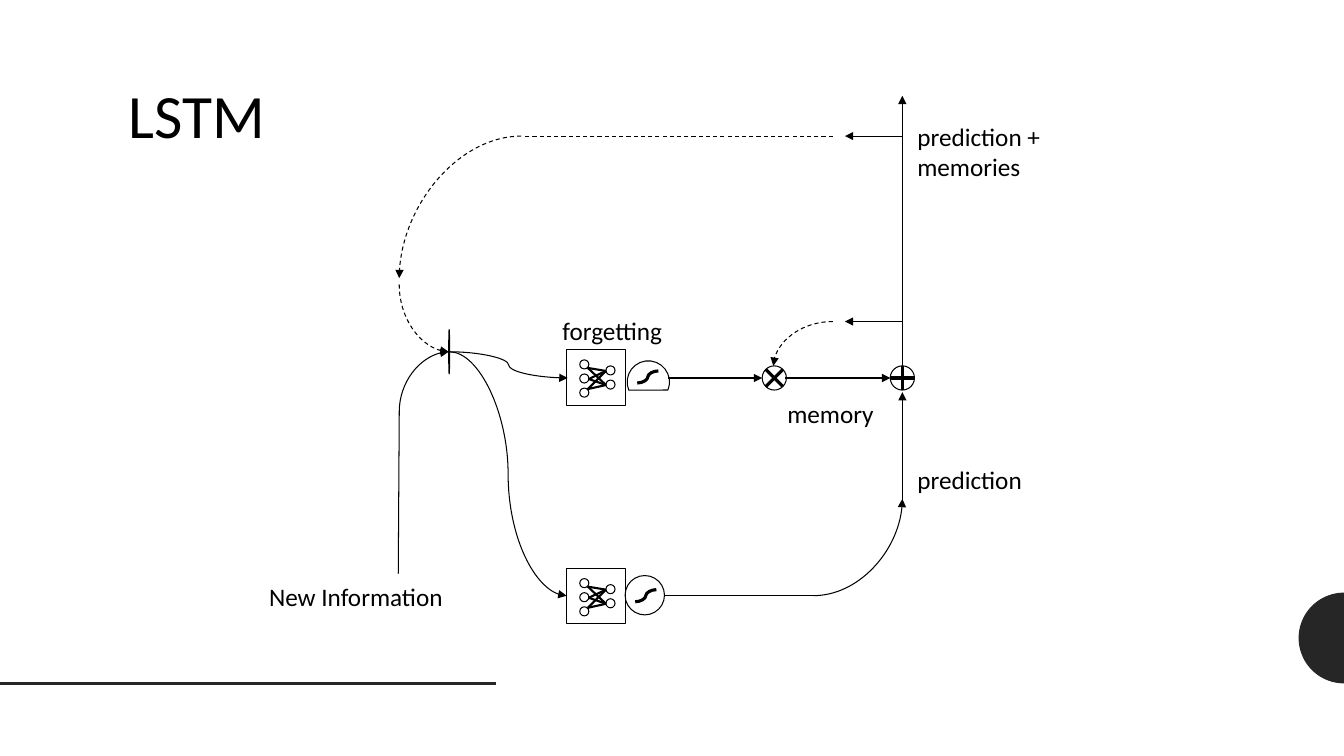
import math

from lxml import etree
from pptx import Presentation
from pptx.dml.color import RGBColor
from pptx.enum.dml import MSO_LINE
from pptx.enum.shapes import MSO_CONNECTOR, MSO_SHAPE
from pptx.enum.text import MSO_ANCHOR, PP_ALIGN
from pptx.oxml.ns import qn
from pptx.util import Inches, Pt

STRAIGHT, CURVE = MSO_CONNECTOR.STRAIGHT, MSO_CONNECTOR.CURVE
OVAL, RECTANGLE, CHORD = MSO_SHAPE.OVAL, MSO_SHAPE.RECTANGLE, MSO_SHAPE.CHORD
DASH = MSO_LINE.DASH
TOP, LEFT = MSO_ANCHOR.TOP, PP_ALIGN.LEFT
FONT = "Calibri"
COLORS = {"ink": "000000", "paper": "FFFFFF", "accent": "262626"}


def color(name):
    return RGBColor.from_string(COLORS[name])


def add_text(slide, text, left, top, width, height=0.44, size=18):
    box = slide.shapes.add_textbox(*map(Inches, (left, top, width, height)))
    frame = box.text_frame
    frame.word_wrap = True
    frame.vertical_anchor = TOP
    frame.margin_left = frame.margin_right = Inches(0.1)
    frame.margin_top = frame.margin_bottom = Inches(0.1)
    paragraph = frame.paragraphs[0]
    paragraph.alignment = LEFT
    run = paragraph.add_run()
    run.text = text
    run.font.name = FONT
    run.font.size = Pt(size)
    run.font.color.rgb = color("ink")


def add_outline(shapes, kind, left, top, width, height, fill=None):
    shape = shapes.add_shape(kind, *map(Inches, (left, top, width, height)))
    shape.shadow.inherit = False
    if fill:
        shape.fill.solid()
        shape.fill.fore_color.rgb = color(fill)
    else:
        shape.fill.background()
    shape.line.color.rgb = color("ink")
    shape.line.width = Pt(0.75)
    return shape


def add_line(shapes, start, end, kind=STRAIGHT, width=0.75, stroke="ink",
             dashed=False, arrow=None, quarter=False):
    connector = shapes.add_connector(kind, *map(Inches, (*start, *end)))
    connector.line.color.rgb = color(stroke)
    connector.line.width = Pt(width)
    if dashed:
        connector.line.dash_style = DASH
    properties = connector._element.spPr
    if quarter:
        properties.find(qn("a:prstGeom")).set("prst", "curvedConnector2")
    if arrow:
        outline = properties.find(qn("a:ln"))
        etree.SubElement(outline, qn(f"a:{arrow}End"), type="triangle")
    etree.SubElement(properties, qn("a:effectLst"))


def add_decoration(slide, width):
    radius, center = 0.45, 6.33
    points = []
    for step in range(49):
        angle = math.pi * (0.5 + step / 48)
        points.append((Inches(width + radius * math.cos(angle)),
                       Inches(center + radius * math.sin(angle))))
    builder = slide.shapes.build_freeform(*points[0])
    builder.add_line_segments(points[1:], close=True)
    half_disc = builder.convert_to_shape()
    half_disc.shadow.inherit = False
    half_disc.fill.solid()
    half_disc.fill.fore_color.rgb = color("accent")
    half_disc.line.fill.background()
    add_line(slide.shapes, (0, 6.78), (4.92, 6.78), width=2, stroke="accent")


def add_network(slide, left, top):
    shapes = slide.shapes.add_group_shape().shapes
    node, gap = 0.09, 0.14
    for column, first, count in ((0.13, 0.1, 3), (0.39, 0.16, 2)):
        for row in range(count):
            add_outline(shapes, OVAL, left + column, top + first + row * gap,
                        node, node, "paper")
    for x, y in ((0.21, 0.18), (0.21, 0.39), (0.22, 0.29)):
        for target in (0.21, 0.35):
            add_line(shapes, (left + x, top + y), (left + 0.39, top + target),
                     width=1.5)
    add_outline(shapes, RECTANGLE, left, top, 0.58, 0.55)


def add_squash(slide, kind, left, top, size, curve_offset, rotation=0):
    shapes = slide.shapes.add_group_shape().shapes
    add_outline(shapes, kind, left, top, size, size).rotation = rotation
    x, y = left + 0.1, top + curve_offset
    add_line(shapes, (x, y + 0.12), (x + 0.21, y), CURVE, 2.25)


def add_operator(slide, left, top, size, turn):
    shapes = slide.shapes.add_group_shape().shapes
    radius = size / 2
    x, y = left + radius, top + radius
    add_outline(shapes, OVAL, left, top, size, size)
    for angle in (turn, turn + 90):
        dx = radius * math.cos(math.radians(angle))
        dy = radius * math.sin(math.radians(angle))
        add_line(shapes, (x - dx, y - dy), (x + dx, y + dy), width=2.25)


def add_flow(slide):
    shapes = slide.shapes
    spine, memory_row, prediction_row = 8.95, 3.75, 5.91
    input_x, join = 3.96, (4.45, 3.49)
    bend = (8.07, prediction_row)

    for end in ((5.63, memory_row), (5.62, prediction_row)):
        add_line(shapes, (4.46, join[1]), end, CURVE, arrow="tail")
    for start, end in (
        ((6.63, memory_row), (7.56, memory_row)),
        ((7.79, memory_row), (8.83, memory_row)),
        ((spine, 5.01), (spine, 3.89)),
        ((spine, 3.63), (spine, 0.95)),
        ((spine, 3.19), (8.38, 3.19)),
        ((spine, 1.35), (8.38, 1.35)),
    ):
        add_line(shapes, start, end, arrow="tail")
    for start, end, dashed, arrow in (
        (bend, (spine, 4.95), False, "tail"),
        ((8.26, 3.19), (7.67, 3.63), True, "tail"),
        ((5.17, 1.35), (input_x, 2.76), True, "tail"),
        (join, (input_x, 2.82), True, "head"),
        (join, (input_x, 4.09), False, "head"),
    ):
        add_line(shapes, start, end, CURVE, dashed=dashed, arrow=arrow,
                 quarter=True)
    add_line(shapes, (8.26, 1.35), (5.18, 1.35), dashed=True)
    add_line(shapes, (input_x, 4.09), (3.95, 5.69))
    add_line(shapes, bend, (6.6, prediction_row))
    add_outline(shapes, OVAL, join[0], 3.27, 0.01, 0.44)


def add_labels(slide):
    add_text(slide, "LSTM", 1.18, 0.66, 2.63, 0.73, size=44)
    for text, left, top, width in (
        ("prediction + memories", 9, 1.1, 1.95),
        ("prediction", 9, 4.51, 1.58),
        ("New Information", 2.57, 5.67, 2.19),
        ("forgetting", 5.48, 3.03, 1.58),
        ("memory", 7.71, 3.85, 1.58),
    ):
        add_text(slide, text, left, top, width)


def main():
    width, height = 13.33, 7.5
    presentation = Presentation()
    presentation.slide_width = Inches(width)
    presentation.slide_height = Inches(height)
    slide = presentation.slides.add_slide(presentation.slide_layouts[6])
    slide.background.fill.solid()
    slide.background.fill.fore_color.rgb = color("paper")
    add_decoration(slide, width)
    for top in (3.47, 5.64):
        add_network(slide, 5.62, top)
    add_squash(slide, OVAL, 6.2, 5.71, 0.39, 0.14)
    add_squash(slide, CHORD, 6.22, 3.58, 0.42, 0.1, rotation=112.1)
    add_operator(slide, 8.83, 3.63, 0.24, turn=0)
    add_operator(slide, 7.56, 3.63, 0.24, turn=45)
    add_flow(slide)
    add_labels(slide)
    presentation.save("out.pptx")


main()
